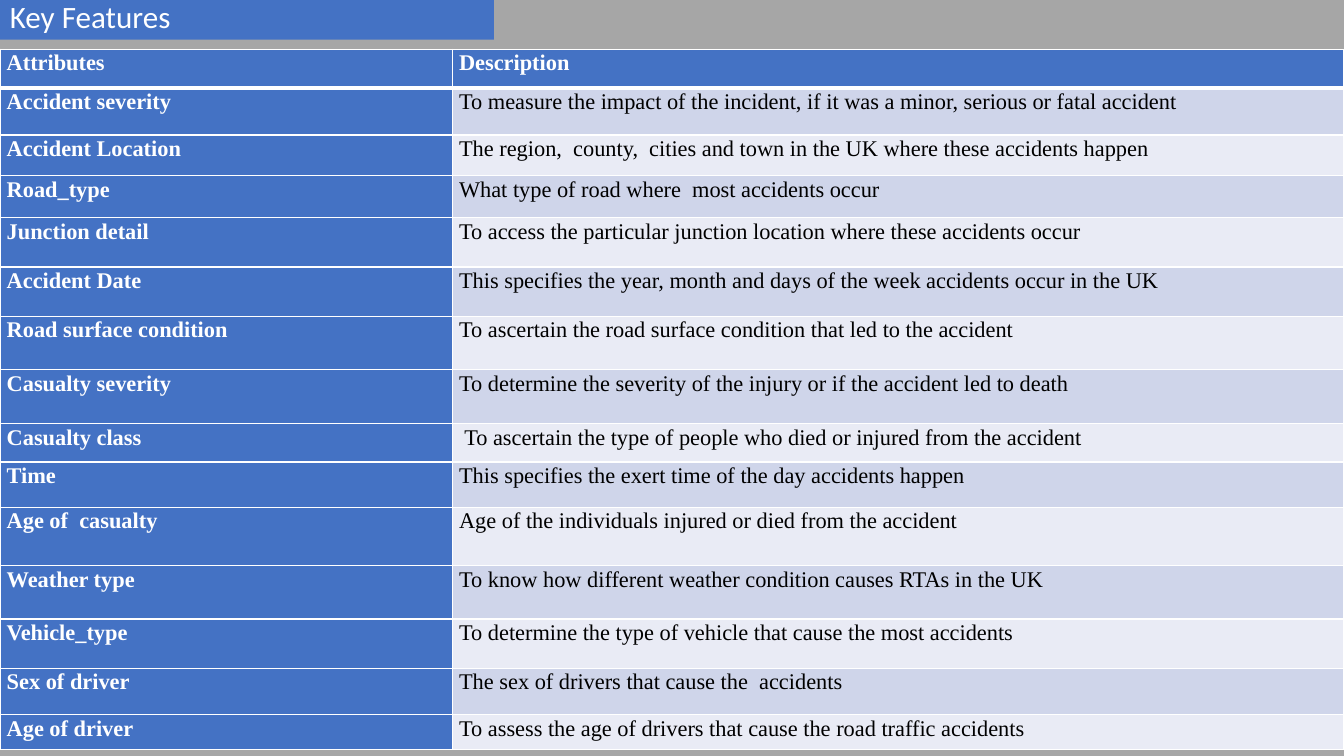
from lxml.etree import SubElement
from pptx import Presentation
from pptx.dml.color import RGBColor
from pptx.enum.shapes import MSO_SHAPE
from pptx.enum.text import MSO_ANCHOR, PP_ALIGN
from pptx.oxml.ns import qn
from pptx.util import Cm, Pt

BLUE = RGBColor(0x44, 0x72, 0xC4)
GREY = RGBColor(0xA6, 0xA6, 0xA6)
WHITE = RGBColor(0xFF, 0xFF, 0xFF)
BLACK = RGBColor(0x00, 0x00, 0x00)
BANDS = (RGBColor(0xE9, 0xEB, 0xF5), RGBColor(0xCF, 0xD5, 0xEA))

COLUMN_WIDTHS = (11.4, 22.47)
# Row height in cm, attribute, description
FEATURES = [
    (0.97, "Attributes", "Description"),
    (1.19, "Accident severity",
     "To measure the impact of the incident, if it was a minor, serious or fatal accident"),
    (1.02, "Accident Location",
     "The region,  county,  cities and town in the UK where these accidents happen"),
    (1.07, "Road_type", "What type of road where  most accidents occur"),
    (1.24, "Junction detail",
     "To access the particular junction location where these accidents occur"),
    (1.24, "Accident Date",
     "This specifies the year, month and days of the week accidents occur in the UK"),
    (1.35, "Road surface condition",
     "To ascertain the road surface condition that led to the accident"),
    (1.35, "Casualty severity",
     "To determine the severity of the injury or if the accident led to death"),
    (0.97, "Casualty class",
     " To ascertain the type of people who died or injured from the accident"),
    (1.14, "Time", "This specifies the exert time of the day accidents happen"),
    (1.47, "Age of  casualty", "Age of the individuals injured or died from the accident"),
    (1.35, "Weather type", "To know how different weather condition causes RTAs in the UK"),
    (1.24, "Vehicle_type", "To determine the type of vehicle that cause the most accidents"),
    (1.17, "Sex of driver", "The sex of drivers that cause the  accidents"),
    (0.88, "Age of driver",
     "To assess the age of drivers that cause the road traffic accidents"),
]


def apply(target, formats):
    for attribute, value in formats.items():
        setattr(target, attribute, value)


class FeatureSlide:
    title_font = {"name": "Calibri", "size": Pt(22.2), "bold": False}
    table_font = {"name": "Times New Roman", "size": Pt(16)}
    title_frame = {"word_wrap": True, "vertical_anchor": MSO_ANCHOR.MIDDLE,
                   "margin_left": Cm(0.25), "margin_right": Cm(0.25),
                   "margin_top": Cm(0.13), "margin_bottom": Cm(0.13)}
    cell_box = {"margin_left": Cm(0.17), "margin_right": Cm(0.17),
                "margin_top": 0, "margin_bottom": 0,
                "vertical_anchor": MSO_ANCHOR.TOP}

    def __init__(self, presentation):
        self.slide = presentation.slides.add_slide(presentation.slide_layouts[6])
        self.fill(self.slide.background, GREY)

    def fill(self, target, color):
        target.fill.solid()
        target.fill.fore_color.rgb = color

    def add_text(self, frame, text, font, color, layout):
        paragraph = frame.paragraphs[0]
        apply(paragraph, layout)
        run = paragraph.add_run()
        run.text = text
        apply(run.font, font)
        run.font.color.rgb = color

    def title_bar(self, text, left, top, width, height):
        bar = self.slide.shapes.add_shape(
            MSO_SHAPE.RECTANGLE, Cm(left), Cm(top), Cm(width), Cm(height))
        bar.shadow.inherit = False
        self.fill(bar, BLUE)
        bar.line.fill.background()
        apply(bar.text_frame, self.title_frame)
        self.add_text(bar.text_frame, text, self.title_font, WHITE,
                      {"alignment": PP_ALIGN.LEFT, "line_spacing": 0.8})

    def borders(self, cell, widths):
        """Draw white cell edges; widths maps an edge tag to points."""
        properties = cell._tc.get_or_add_tcPr()
        for index, (edge, points) in enumerate(widths.items()):
            line = SubElement(properties, qn(f"a:{edge}"), w=str(Pt(points)))
            solid = SubElement(line, qn("a:solidFill"))
            SubElement(solid, qn("a:srgbClr"), val=str(WHITE))
            properties.insert(index, line)

    def feature_table(self, features, widths, left, top):
        heights = [height for height, *_ in features]
        table = self.slide.shapes.add_table(
            len(features), len(widths), Cm(left), Cm(top),
            Cm(sum(widths)), Cm(sum(heights))).table
        for column, width in zip(table.columns, widths):
            column.width = Cm(width)
        for row, (height, *texts) in enumerate(features):
            table.rows[row].height = Cm(height)
            for column, text in enumerate(texts):
                cell = table.cell(row, column)
                heading = row == 0 or column == 0
                apply(cell, self.cell_box)
                self.fill(cell, BLUE if heading else BANDS[row % 2])
                self.borders(cell, {"lnL": 1, "lnR": 1,
                                    "lnT": 3 if row == 1 else 1,
                                    "lnB": 3 if row == 0 else 1})
                self.add_text(cell.text_frame, text,
                              {**self.table_font, "bold": heading},
                              WHITE if heading else BLACK,
                              {"alignment": PP_ALIGN.JUSTIFY, "line_spacing": 1.07})


def main():
    presentation = Presentation()
    presentation.slide_width = Cm(33.87)
    presentation.slide_height = Cm(19.05)
    slide = FeatureSlide(presentation)
    slide.title_bar("Key Features", 0, 0, 12.45, 1)
    slide.feature_table(FEATURES, COLUMN_WIDTHS, 0, 1.24)
    presentation.save("out.pptx")


if __name__ == "__main__":
    main()
